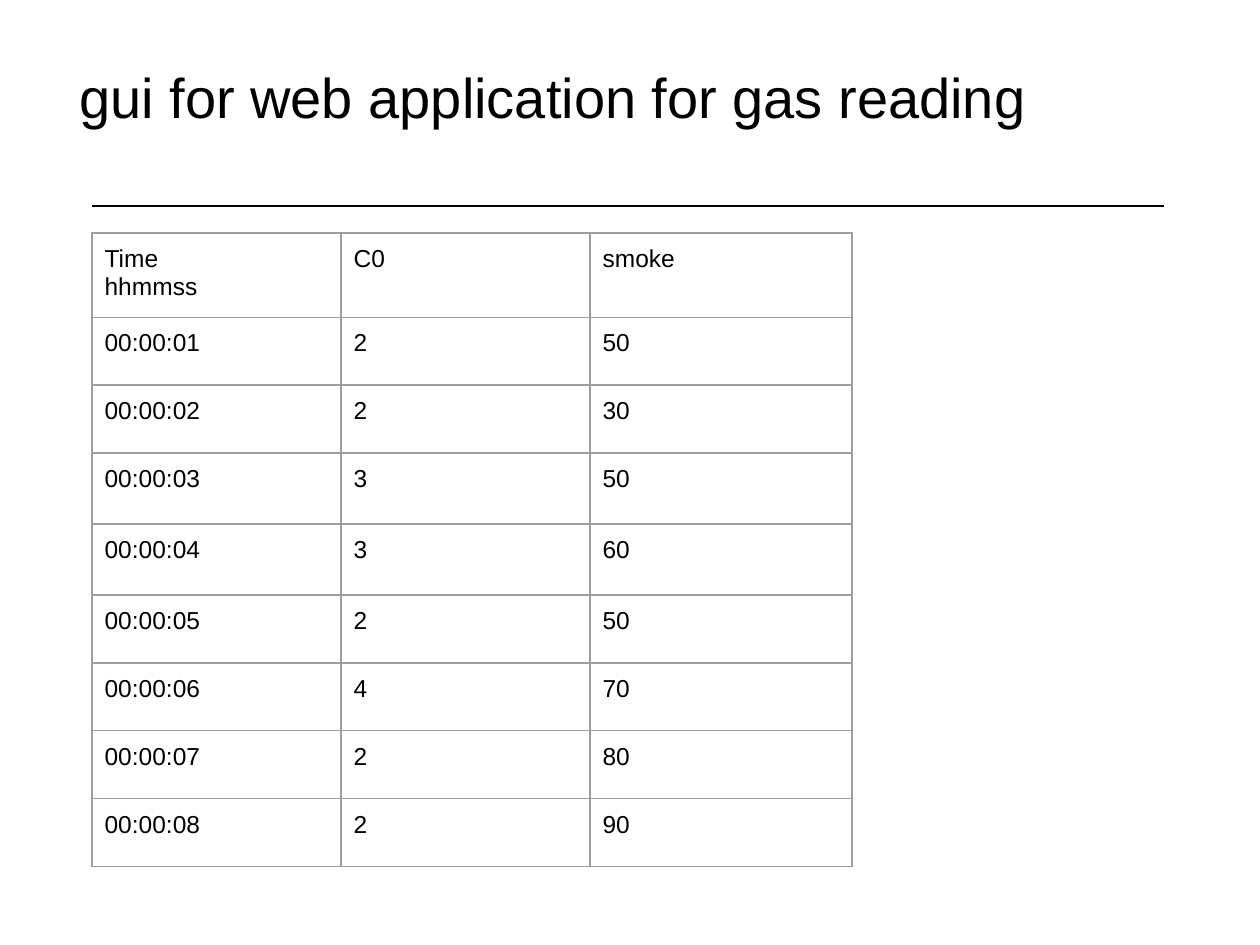
from lxml.etree import SubElement
from pptx import Presentation
from pptx.dml.color import RGBColor
from pptx.enum.shapes import MSO_CONNECTOR
from pptx.enum.text import MSO_ANCHOR
from pptx.oxml.ns import qn
from pptx.util import Emu, Pt

PX_PER_INCH = 126
BLACK, GREY = "000000", "9E9E9E"
HEADER = ("Time\nhhmmss", "C0", "smoke")
READINGS = [(2, 50), (2, 30), (3, 50), (3, 60), (2, 50), (4, 70), (2, 80), (2, 90)]
COLUMN_WIDTHS = (249, 249, 262)
ROW_HEIGHTS = (80, 68, 68, 71, 71, 68, 68, 68, 68)


def px(n):
    return Emu(round(n * 914400 / PX_PER_INCH))


def color(hex_string):
    return RGBColor.from_string(hex_string)


def style_text(tf, size):
    for p in tf.paragraphs:
        for r in p.runs:
            r.font.name = "Arial"
            r.font.size = Pt(size)
            r.font.color.rgb = color(BLACK)


def add_title(slide, text, x, y, w, h):
    tf = slide.shapes.add_textbox(px(x), px(y), px(w), px(h)).text_frame
    tf.word_wrap = True
    tf.vertical_anchor = MSO_ANCHOR.MIDDLE
    tf.text = text
    style_text(tf, 32)


def add_rule(slide, x1, x2, y):
    line = slide.shapes.add_connector(MSO_CONNECTOR.STRAIGHT, px(x1), px(y), px(x2), px(y))
    line.line.color.rgb = color(BLACK)
    line.line.width = Pt(0.75)
    SubElement(line._element.spPr, qn("a:effectLst"))


def add_borders(cell, hex_string, width):
    """Outline all four sides; borders must precede the cell's fill in the XML."""
    tc_pr = cell._tc.get_or_add_tcPr()
    for i, side in enumerate(("a:lnL", "a:lnR", "a:lnT", "a:lnB")):
        ln = SubElement(tc_pr, qn(side), w=str(Pt(width)))
        fill = SubElement(ln, qn("a:solidFill"))
        SubElement(fill, qn("a:srgbClr"), val=hex_string)
        tc_pr.insert(i, ln)


def fill_cell(cell, text):
    cell.text = text
    cell.margin_left = cell.margin_right = Pt(7.2)
    cell.margin_top = cell.margin_bottom = Pt(7.2)
    cell.fill.background()
    add_borders(cell, GREY, 0.75)
    style_text(cell.text_frame, 14)


def add_readings_table(slide, x, y):
    rows = [HEADER]
    for second, (co, smoke) in enumerate(READINGS, 1):
        rows.append((f"00:00:{second:02}", str(co), str(smoke)))
    frame = slide.shapes.add_table(len(rows), len(HEADER), px(x), px(y),
                                   px(sum(COLUMN_WIDTHS)), px(sum(ROW_HEIGHTS)))
    table = frame.table
    table.first_row = table.horz_banding = False
    for column, width in zip(table.columns, COLUMN_WIDTHS):
        column.width = px(width)
    for row, height, texts in zip(table.rows, ROW_HEIGHTS, rows):
        row.height = px(height)
        for cell, text in zip(row.cells, texts):
            fill_cell(cell, text)


def main():
    prs = Presentation()
    prs.slide_width, prs.slide_height = px(1260), px(945)
    slide = prs.slides.add_slide(prs.slide_layouts[6])
    add_rule(slide, 92, 1164, 206)
    add_title(slide, "gui for web application for gas reading", 67, 55, 1072, 83)
    add_readings_table(slide, 92, 233)
    prs.save("out.pptx")


if __name__ == "__main__":
    main()
